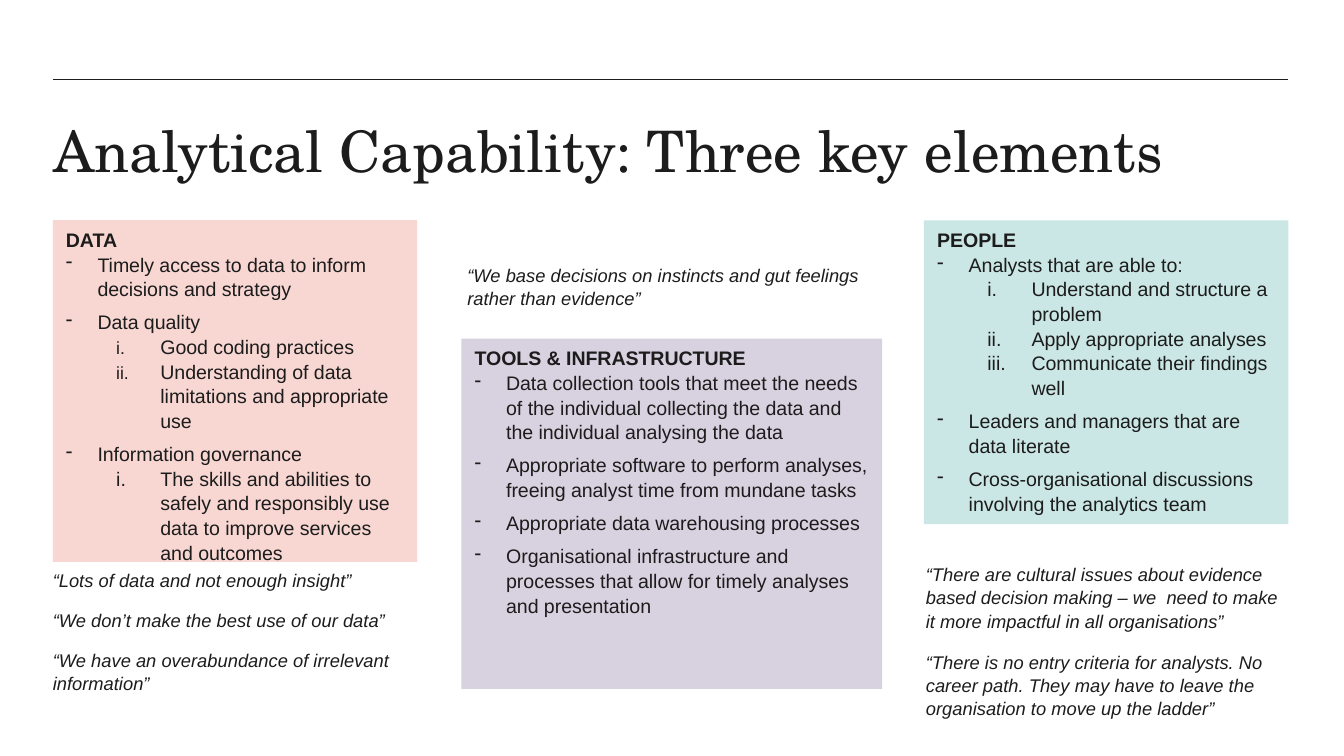
from dataclasses import dataclass

import lxml.etree
import pptx
import pptx.dml.color
import pptx.enum.shapes
import pptx.enum.text
import pptx.oxml.ns
import pptx.util

Pt = pptx.util.Pt
qn = pptx.oxml.ns.qn


@dataclass(frozen=True)
class Theme:
    ink: str = "1C1C1C"
    pink: str = "F8D7D3"
    lilac: str = "D8D1E0"
    teal: str = "CAE7E5"
    title_font: str = "TeX Gyre Schola"
    body_font: str = "Arial"
    title_size: float = 30.6
    body_size: float = 10.5
    quote_size: float = 9.8
    line_spacing: float = 1.05


@dataclass(frozen=True)
class Area:
    left: float
    top: float
    width: float
    height: float


@dataclass(frozen=True)
class Item:
    text: str
    details: tuple[str, ...] = ()
    number_scale: int = 100


@dataclass(frozen=True)
class Panel:
    area: Area
    fill: str
    heading: str
    items: tuple[Item, ...]


@dataclass(frozen=True)
class Quotes:
    area: Area
    gap: float
    lines: tuple[str, ...]


THEME = Theme()
LEFT, RIGHT = 28.3, 690.2
SIDE_WIDTH = 195.2
PANEL_TOP = 118

PANELS = (
    Panel(Area(LEFT, PANEL_TOP, SIDE_WIDTH, 183), THEME.pink, "DATA", (
        Item("Timely access to data to inform decisions and strategy"),
        Item("Data quality", (
            "Good coding practices",
            "Understanding of data limitations and appropriate use",
        ), 90),
        Item("Information governance", (
            "The skills and abilities to safely and responsibly use data to "
            "improve services and outcomes",
        )),
    )),
    Panel(Area(247.2, 181.4, 225.4, 187.7), THEME.lilac, "TOOLS & INFRASTRUCTURE", (
        Item("Data collection tools that meet the needs of the individual "
             "collecting the data and the individual analysing the data"),
        Item("Appropriate software to perform analyses, freeing analyst time "
             "from mundane tasks"),
        Item("Appropriate data warehousing processes"),
        Item("Organisational infrastructure and processes that allow for "
             "timely analyses and presentation"),
    )),
    Panel(Area(RIGHT - SIDE_WIDTH, PANEL_TOP, SIDE_WIDTH, 162.8), THEME.teal, "PEOPLE", (
        Item("Analysts that are able to:", (
            "Understand and structure a problem",
            "Apply appropriate analyses",
            "Communicate their findings well",
        )),
        Item("Leaders and managers that are data literate"),
        Item("Cross-organisational discussions involving the analytics team"),
    )),
)

QUOTES = (
    Quotes(Area(LEFT, 304.6, SIDE_WIDTH, 75.6), 9, (
        "“Lots of data and not enough insight”",
        "“We don’t make the best use of our data”",
        "“We have an overabundance of irrelevant information”",
    )),
    Quotes(Area(250.4, 141.2, 222.4, 31.7), 10, (
        "“We base decisions on instincts and gut feelings rather than evidence”",
    )),
    Quotes(Area(496, 301.4, 195, 90), 10, (
        "“There are cultural issues about evidence based decision making – we  "
        "need to make it more impactful in all organisations”",
        "“There is no entry criteria for analysts. No career path. They may "
        "have to leave the organisation to move up the ladder”",
    )),
)


def color(value: str) -> pptx.dml.color.RGBColor:
    return pptx.dml.color.RGBColor.from_string(value)


def place(area: Area) -> tuple:
    return Pt(area.left), Pt(area.top), Pt(area.width), Pt(area.height)


def write(para, text: str, size: float, font: str = THEME.body_font,
          bold: bool = False, italic: bool = False) -> None:
    para.text = text
    para.alignment = pptx.enum.text.PP_ALIGN.LEFT
    for span in para.runs:
        span.font.name = font
        span.font.size = Pt(size)
        span.font.bold = bold
        span.font.italic = italic
        span.font.color.rgb = color(THEME.ink)


def add_marker(para, indent: float, hanging: float, tag: str,
               scale: int = 100, **attributes: str) -> None:
    properties = para._p.get_or_add_pPr()
    properties.set("marL", str(Pt(indent)))
    properties.set("indent", str(-Pt(hanging)))
    if scale != 100:
        lxml.etree.SubElement(properties, qn("a:buSzPct"), val=str(scale * 1000))
    lxml.etree.SubElement(properties, qn(tag), **attributes)


def add_text_box(page, area: Area):
    box = page.shapes.add_textbox(*place(area))
    frame = box.text_frame
    frame.word_wrap = True
    frame.margin_left = frame.margin_right = 0
    frame.margin_top = frame.margin_bottom = 0
    return frame


def add_panel(page, panel: Panel) -> None:
    box = page.shapes.add_shape(
        pptx.enum.shapes.MSO_SHAPE.RECTANGLE, *place(panel.area))
    box.shadow.inherit = False
    box.fill.solid()
    box.fill.fore_color.rgb = color(panel.fill)
    box.line.fill.background()
    frame = box.text_frame
    frame.word_wrap = True
    frame.vertical_anchor = pptx.enum.text.MSO_ANCHOR.TOP
    write(frame.paragraphs[0], panel.heading, THEME.body_size, bold=True)
    for index, item in enumerate(panel.items):
        para = frame.add_paragraph()
        add_marker(para, 16.9, 16.9, "a:buChar", char="-")
        para.space_before = Pt(4.5 if index else 0)
        write(para, item.text, THEME.body_size)
        for detail in item.details:
            para = frame.add_paragraph()
            para.level = 1
            add_marker(para, 50.6, 23.7, "a:buAutoNum", item.number_scale,
                       type="romanLcPeriod")
            write(para, detail, THEME.body_size)
    for para in frame.paragraphs:
        para.line_spacing = THEME.line_spacing


def add_quotes(page, quotes: Quotes) -> None:
    frame = add_text_box(page, quotes.area)
    for index, line in enumerate(quotes.lines):
        para = frame.add_paragraph() if index else frame.paragraphs[0]
        para.line_spacing = THEME.line_spacing
        if index:
            para.space_before = Pt(quotes.gap)
        write(para, line, THEME.quote_size, italic=True)


def main() -> None:
    deck = pptx.Presentation()
    deck.slide_width, deck.slide_height = Pt(720), Pt(405)
    page = deck.slides.add_slide(deck.slide_layouts[6])

    # Rule and title
    rule = page.shapes.add_connector(
        pptx.enum.shapes.MSO_CONNECTOR.STRAIGHT,
        Pt(LEFT), Pt(42.5), Pt(RIGHT), Pt(42.5))
    rule.line.color.rgb = color(THEME.ink)
    rule.line.width = Pt(0.5)
    lxml.etree.SubElement(rule._element.spPr, qn("a:effectLst"))
    title = add_text_box(page, Area(28.6, 62, 661.6, 36.7))
    write(title.paragraphs[0], "Analytical Capability: Three key elements",
          THEME.title_size, THEME.title_font)

    # Three elements and the quotes beside them
    for panel, quotes in zip(PANELS, QUOTES):
        add_panel(page, panel)
        add_quotes(page, quotes)

    deck.save("out.pptx")


if __name__ == "__main__":
    main()
